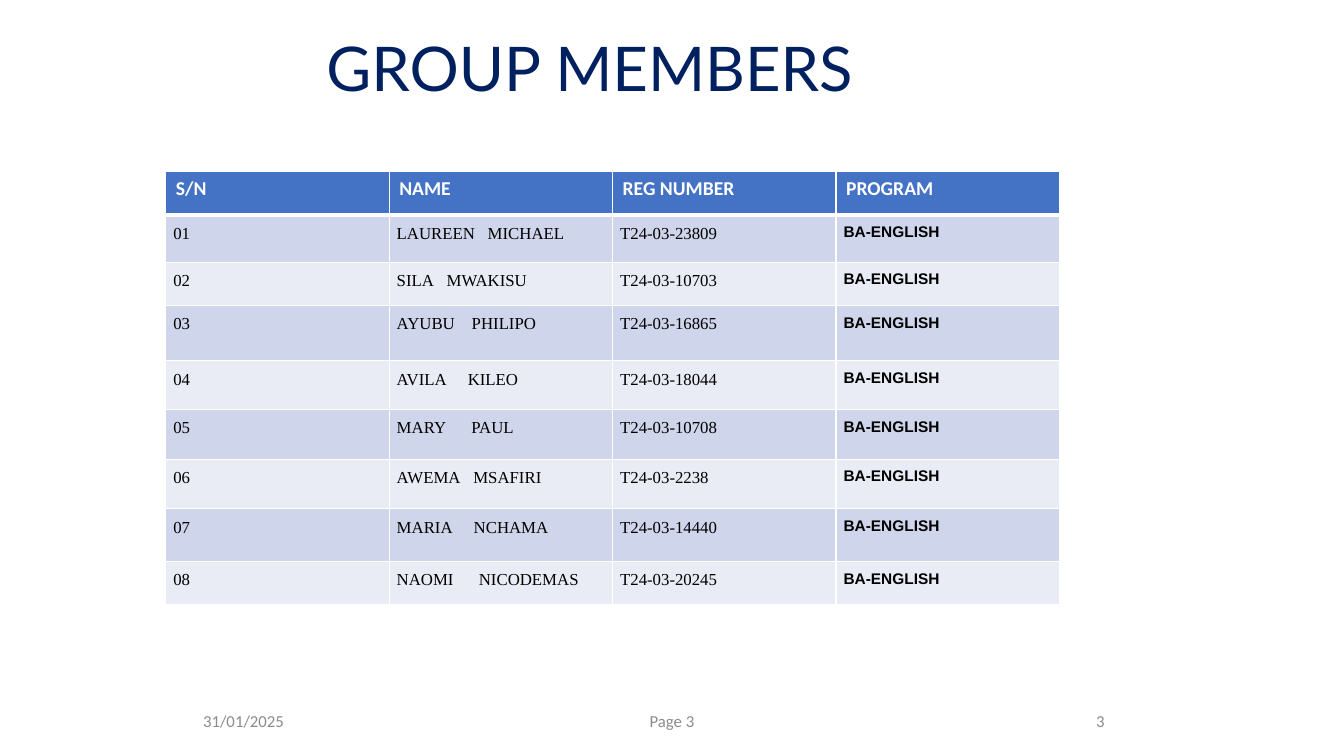
import pptx
import pptx.dml.color
import pptx.enum.text
import pptx.oxml
import pptx.oxml.ns
import pptx.util
import lxml.etree

Pt = pptx.util.Pt
ALIGN = pptx.enum.text.PP_ALIGN
ANCHOR = pptx.enum.text.MSO_ANCHOR

COLORS = {
    "title": "002060",
    "header": "4472C4",
    "odd": "CFD5EA",
    "even": "E9EBF5",
    "white": "FFFFFF",
    "black": "000000",
    "footer": "8C8C8C",
}
HEADINGS = ["S/N", "NAME", "REG NUMBER", "PROGRAM"]
# Given name, family name, width of the gap in spaces, registration number
MEMBERS = [
    ("LAUREEN", "MICHAEL", 3, "T24-03-23809"),
    ("SILA", "MWAKISU", 3, "T24-03-10703"),
    ("AYUBU", "PHILIPO", 4, "T24-03-16865"),
    ("AVILA", "KILEO", 5, "T24-03-18044"),
    ("MARY", "PAUL", 6, "T24-03-10708"),
    ("AWEMA", "MSAFIRI", 3, "T24-03-2238"),
    ("MARIA", "NCHAMA", 5, "T24-03-14440"),
    ("NAOMI", "NICODEMAS", 6, "T24-03-20245"),
]
PROGRAM = "BA-ENGLISH"
ROW_HEIGHTS = [30.8, 33.9, 31.1, 39.4, 34.9, 35.4, 35.5, 37.6, 31]
COLUMN_WIDTH = 159.6
SPACE_WIDTH = 3


class SlideBuilder:
    def __init__(self, deck):
        self.slide = deck.slides.add_slide(deck.slide_layouts[5])

    def run(self, para, text, font, size, color, bold=False):
        span = para.add_run()
        span.text = text
        span.font.name = font
        span.font.size = Pt(size)
        span.font.bold = bold
        span.font.color.rgb = pptx.dml.color.RGBColor.from_string(COLORS[color])
        return span

    def title(self, text, left, top, width, height):
        box = self.slide.shapes.title
        box.left, box.top, box.width, box.height = map(Pt, (left, top, width, height))
        box.text_frame.vertical_anchor = ANCHOR.MIDDLE
        box.text_frame.auto_size = pptx.enum.text.MSO_AUTO_SIZE.NONE
        para = box.text_frame.paragraphs[0]
        para.alignment = ALIGN.CENTER
        para.line_spacing = 0.9
        self.run(para, text, "Lato", 44, "title")

    def footer(self, text, left, width):
        box = self.slide.shapes.add_textbox(Pt(left), Pt(500.5), Pt(width), Pt(28.75))
        box.text_frame.word_wrap = True
        box.text_frame.vertical_anchor = ANCHOR.MIDDLE
        para = box.text_frame.paragraphs[0]
        para.alignment = ALIGN.CENTER
        self.run(para, text, "Calibri", 12, "footer")

    def table(self, left, top):
        frame = self.slide.shapes.add_table(
            len(ROW_HEIGHTS), len(HEADINGS), Pt(left), Pt(top),
            Pt(COLUMN_WIDTH * len(HEADINGS)), Pt(sum(ROW_HEIGHTS)))
        grid = frame.table
        for column in grid.columns:
            column.width = Pt(COLUMN_WIDTH)
        for row, height in zip(grid.rows, ROW_HEIGHTS):
            row.height = Pt(height)
        return grid

    def borders(self, cell, top, bottom):
        properties = cell._tc.get_or_add_tcPr()
        sides = {"lnL": 1, "lnR": 1, "lnT": top, "lnB": bottom}
        for index, (side, width) in enumerate(sides.items()):
            line = pptx.oxml.parse_xml(
                f'<a:{side} {pptx.oxml.ns.nsdecls("a")} w="{Pt(width)}"><a:solidFill>'
                f'<a:srgbClr val="{COLORS["white"]}"/></a:solidFill></a:{side}>')
            properties.insert(index, line)

    def cell(self, cell, fill, top=1, bottom=1):
        """Fill and outline a cell, and return its paragraph."""
        cell.fill.solid()
        cell.fill.fore_color.rgb = pptx.dml.color.RGBColor.from_string(COLORS[fill])
        self.borders(cell, top, bottom)
        return cell.text_frame.paragraphs[0]

    def body_cell(self, cell, fill, top, alignment):
        cell.margin_left = cell.margin_right = Pt(5.4)
        cell.margin_top = cell.margin_bottom = 0
        para = self.cell(cell, fill, top)
        para.alignment = alignment
        para.line_spacing = 1.5
        para.space_after = Pt(10)
        return para

    def member_row(self, cells, number, member):
        given, family, spaces, registration = member
        fill = "odd" if number % 2 else "even"
        top = 3 if number == 1 else 1
        alignments = [ALIGN.JUSTIFY, ALIGN.LEFT, ALIGN.JUSTIFY, ALIGN.LEFT]
        serial, name, reg, program = [
            self.body_cell(cell, fill, top, alignment)
            for cell, alignment in zip(cells, alignments)]
        plain = ("Times New Roman", 12, "black")
        self.run(serial, f"{number:02}", *plain)
        self.run(name, given, *plain)
        gap = self.run(name, " ", *plain)
        gap.font._element.set("spc", str((spaces - 1) * SPACE_WIDTH * 100))
        self.run(name, family, *plain)
        self.run(reg, registration, *plain)
        self.run(program, PROGRAM, "Arial", 11, "black", bold=True)


def main():
    deck = pptx.Presentation()
    deck.slide_width, deck.slide_height = Pt(960), Pt(540)
    page = SlideBuilder(deck)
    page.title("GROUP MEMBERS", 66, 28.6, 710.6, 44.6)

    grid = page.table(118.4, 122.6)
    for cell, heading in zip(grid.rows[0].cells, HEADINGS):
        para = page.cell(cell, "header", bottom=3)
        page.run(para, heading, "Calibri", 14, "white", bold=True)
    for number, member in enumerate(MEMBERS, start=1):
        page.member_row(grid.rows[number].cells, number, member)

    page.footer("31/01/2025", 66, 216)
    page.footer("Page 3", 318, 324)
    page.footer("3", 678, 216)
    deck.save("out.pptx")


if __name__ == "__main__":
    main()
